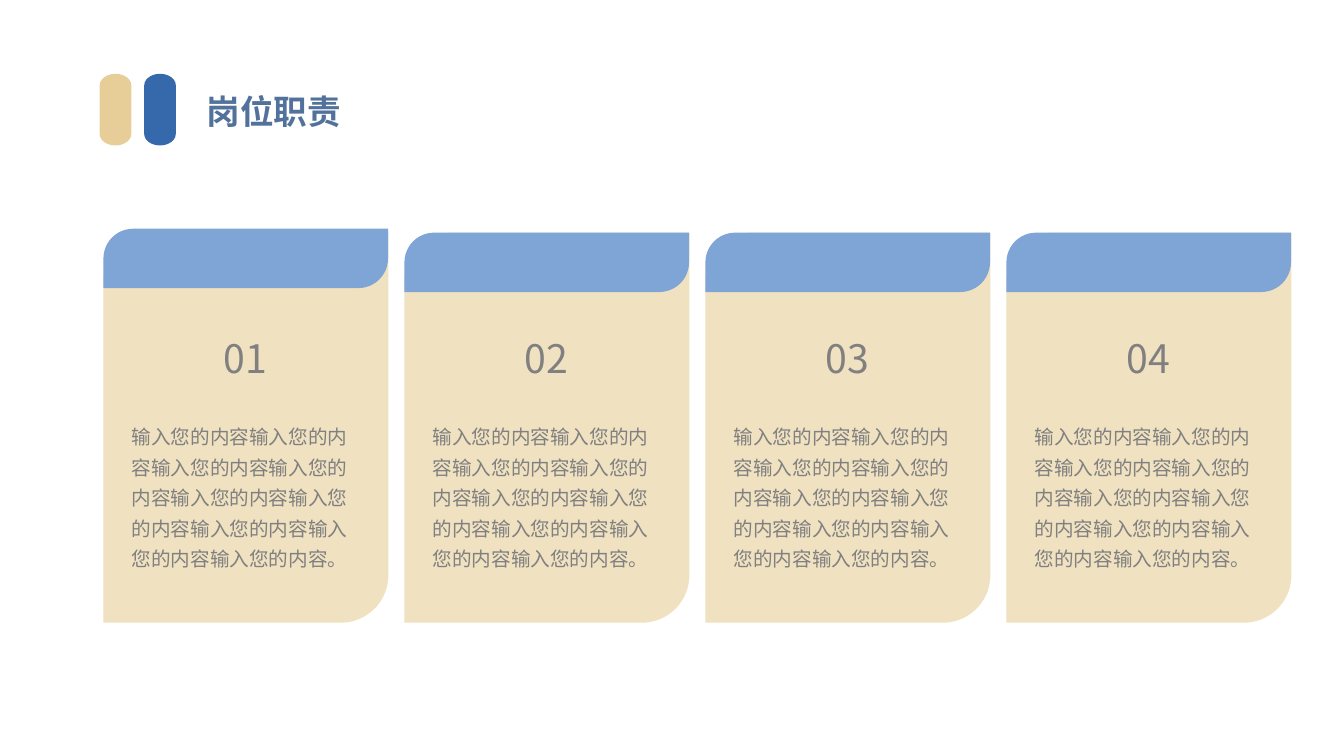
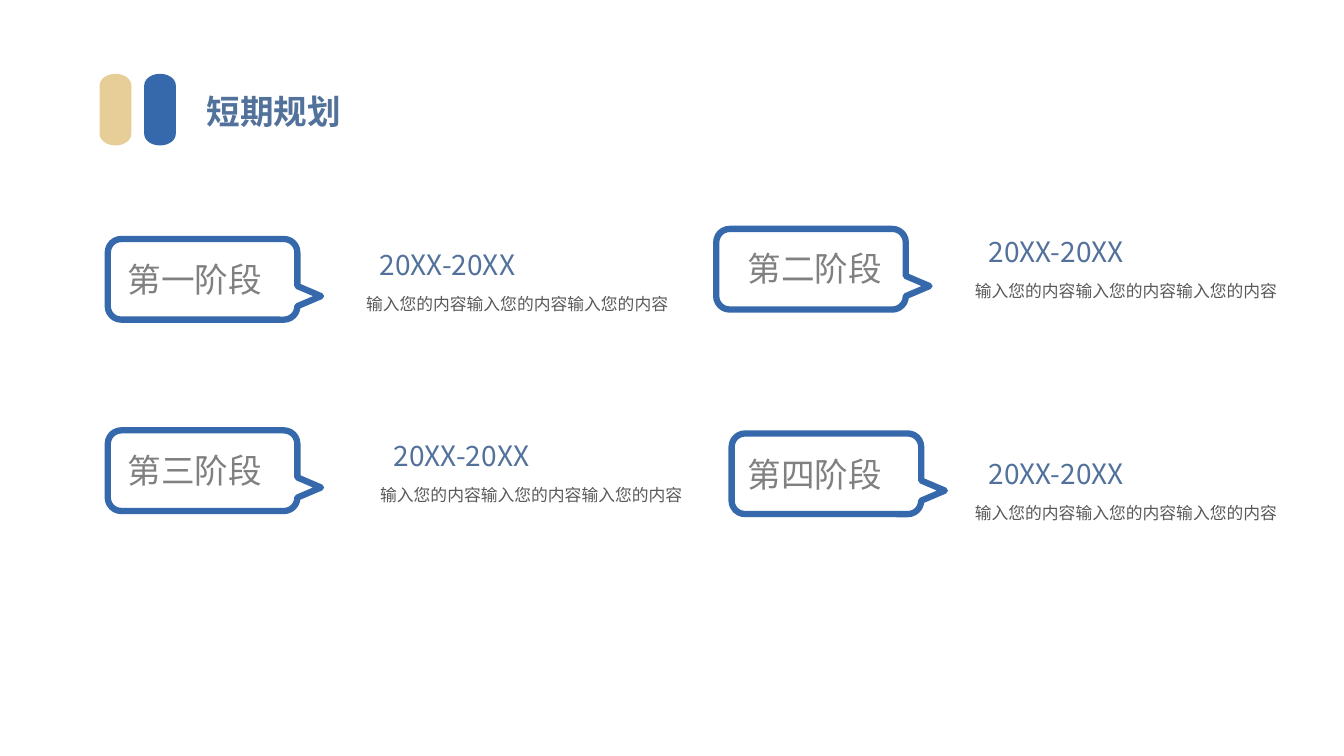
import pptx
import pptx.util
import pptx.dml.color
import pptx.enum.shapes
import pptx.enum.text
import pptx.oxml

Pt = pptx.util.Pt
Color = pptx.dml.color.RGBColor
Kind = pptx.enum.shapes.MSO_SHAPE
Align = pptx.enum.text.PP_ALIGN
Fit = pptx.enum.text.MSO_AUTO_SIZE

GOLD = Color(0xE7, 0xCD, 0x98)
CREAM = Color(0xF0, 0xE1, 0xC0)
BLUE = Color(0x36, 0x69, 0xAB)
SKY = Color(0x7E, 0xA5, 0xD6)
SLATE = Color(0x52, 0x72, 0x9B)
GRAY = Color(0x80, 0x80, 0x80)
DARK = Color(0x59, 0x59, 0x59)
NOTO = "Noto Sans CJK SC"
FILLER = "输入您的内容"


def write(text, frame, size, color, font=NOTO, bold=False, align=Align.LEFT,
          spacing=None, before=None, wrap=True):
    frame.word_wrap = wrap
    frame.auto_size = Fit.SHAPE_TO_FIT_TEXT
    para = frame.paragraphs[0]
    if para.runs:
        para = frame.add_paragraph()
    para.alignment = align
    para.line_spacing = spacing
    para.space_before = before
    run = para.add_run()
    run.text = text
    run.font.size = Pt(size)
    run.font.bold = bold
    run.font.color.rgb = color
    run.font.name = font
    if font == NOTO:
        east = pptx.oxml.parse_xml(
            '<a:ea xmlns:a="http://schemas.openxmlformats.org/drawingml/2006/main"'
            f' typeface="{font}"/>')
        run.font._element.append(east)


def draw(slide, kind, box, fill=None, line=None, turn=0):
    shape = slide.shapes.add_shape(kind, *map(Pt, box))
    shape.shadow.inherit = False
    shape.rotation = turn
    if fill is None:
        shape.fill.background()
    else:
        shape.fill.solid()
        shape.fill.fore_color.rgb = fill
    if line is None:
        shape.line.fill.background()
    else:
        shape.line.color.rgb = line
        shape.line.width = Pt(4.5)
    return shape


deck = pptx.Presentation()
deck.slide_width = Pt(960)
deck.slide_height = Pt(540)

pages = []
for title in ("岗位职责", "短期规划"):
    page = deck.slides.add_slide(deck.slide_layouts[6])
    for left, color in ((56.9, GOLD), (88.7, BLUE)):
        draw(page, Kind.FLOWCHART_TERMINATOR, (left, 67, 51.2, 22.6), color, turn=270)
    box = page.shapes.add_textbox(Pt(140.4), Pt(61.2), Pt(136.8), Pt(36.3))
    write(title, box.text_frame, 24, SLATE, bold=True, align=Align.JUSTIFY)
    pages.append(page)
duties, plan = pages

for index in range(4):
    left = 73.9 + 215 * index
    top = 163.4 if index == 0 else 166.2
    draw(duties, Kind.ROUND_2_DIAG_RECTANGLE, (left, 166.2, 203.5, 278.6), CREAM)
    band = draw(duties, Kind.ROUND_2_DIAG_RECTANGLE, (left, top, 203.3, 42.4), SKY)
    band.adjustments[0] = 0.5
    box = duties.shapes.add_textbox(Pt(left + 13), Pt(225.4), Pt(177.1), Pt(205.2))
    write(f"{index + 1:02}", box.text_frame, 28, GRAY, align=Align.CENTER, spacing=1.3)
    write(FILLER * 9 + "。", box.text_frame, 14, GRAY, spacing=1.3, before=Pt(26))

stages = (
    ("第一阶段", (115.9, 131.8), (84.2, 181.2), (252.7, 173.5)),
    ("第二阶段", (550.5, 124.6), (527, 173.5), (687.6, 164.2)),
    ("第三阶段", (115.9, 268.5), (84.2, 317.7), (262.8, 309.6)),
    ("第四阶段", (561.5, 270.7), (527, 320.4), (687.6, 322.6)),
)
for name, bubble, label, note in stages:
    draw(plan, Kind.ROUNDED_RECTANGULAR_CALLOUT, (*bubble, 57.6, 135.4), line=BLUE, turn=270)
    box = plan.shapes.add_textbox(*map(Pt, (*label, 128.2, 36.3)))
    write(name, box.text_frame, 24, GRAY, font="Arial")
    left, top = note
    box = plan.shapes.add_textbox(Pt(left), Pt(top + 28.8), Pt(231.8), Pt(25.9))
    write(FILLER * 3, box.text_frame, 12, DARK, align=Align.RIGHT, spacing=1.3)
    box = plan.shapes.add_textbox(Pt(left), Pt(top), Pt(122.4), Pt(31.5))
    write("20XX-20XX", box.text_frame, 20, SLATE, align=Align.RIGHT, wrap=False)

deck.save("out.pptx")
